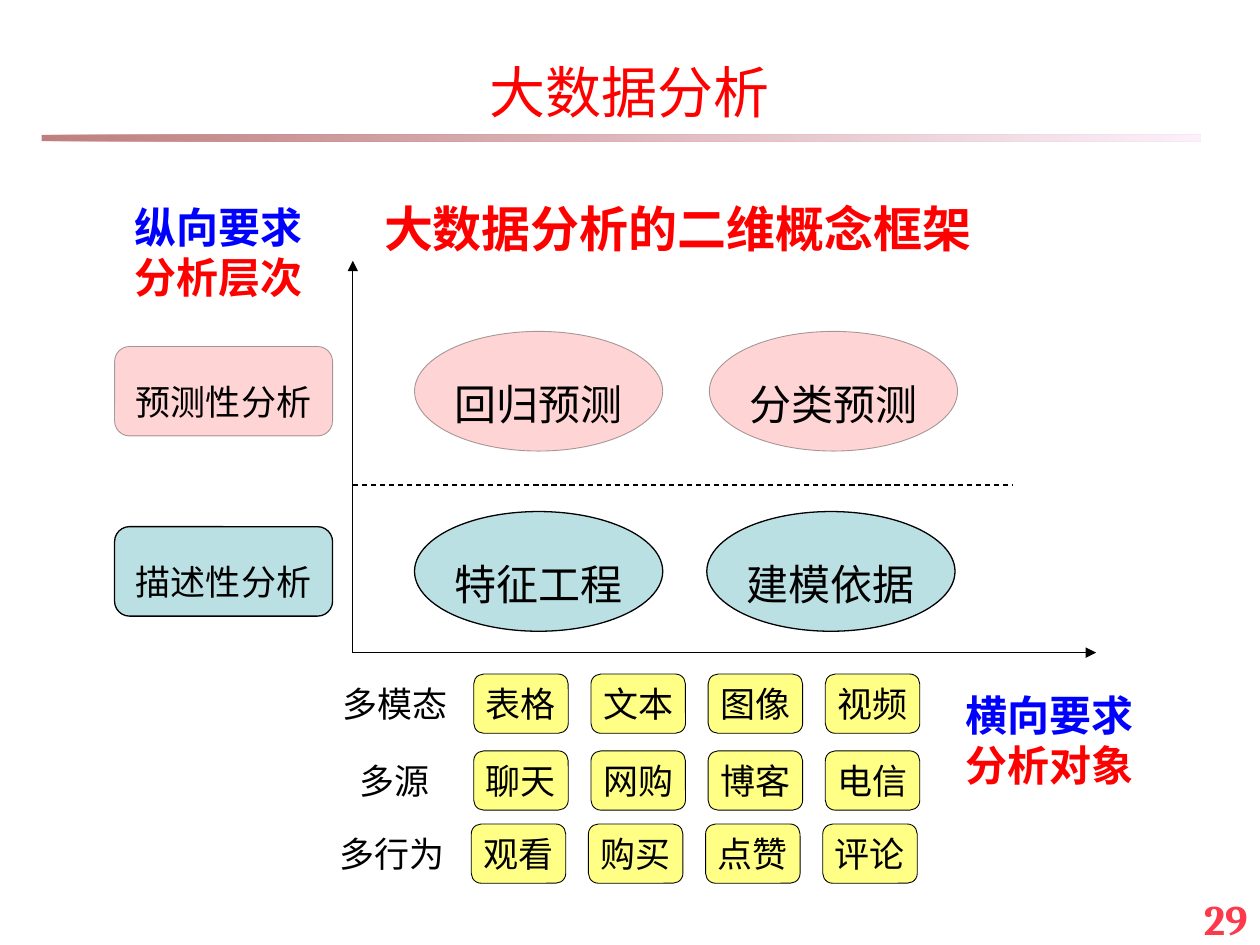
from lxml import etree
from pptx import Presentation
from pptx.dml.color import RGBColor
from pptx.enum import dml, shapes, text
from pptx.oxml.ns import qn
from pptx.util import Inches, Pt

COLORS = {"ink": "000000", "paper": "FFFFFF", "red": "FF0000", "blue": "0000FF",
          "teal": "BBE0E3", "yellow": "FFFF00", "number": "FC3A4C",
          "rule_start": "800000", "rule_end": "FAE2F6"}
FONT = "Noto Sans CJK SC"
ROUND, OVAL = shapes.MSO_SHAPE.ROUNDED_RECTANGLE, shapes.MSO_SHAPE.OVAL
TOP, MIDDLE = text.MSO_ANCHOR.TOP, text.MSO_ANCHOR.MIDDLE
CENTER, LEFT, RIGHT = text.PP_ALIGN.CENTER, text.PP_ALIGN.LEFT, text.PP_ALIGN.RIGHT

PREDICTIVE = dict(fill="red", alpha=17, line=0.5, line_alpha=34)
DESCRIPTIVE = dict(fill="teal", line=0.75)
TILE = dict(fill="yellow", alpha=48, line=0.5)


def rgb(name):
    return RGBColor.from_string(COLORS[name])


def set_alpha(element, percent):
    for color in element.iter(qn("a:srgbClr")):
        etree.SubElement(color, qn("a:alpha"), val=str(percent * 1000))


def write(holder, content, size=20, color="ink", font=FONT, bold=False, align=CENTER,
          spacing=None, anchor=MIDDLE, wrap=False):
    frame = holder.text_frame
    frame.word_wrap = wrap
    frame.vertical_anchor = anchor
    colors = [color] if isinstance(color, str) else color
    for index, line in enumerate(content.split("\n")):
        paragraph = frame.paragraphs[0] if index == 0 else frame.add_paragraph()
        paragraph.alignment = align
        paragraph.space_before = Pt(0)
        if spacing:
            paragraph.line_spacing = spacing
        run = paragraph.add_run()
        run.text = line
        run.font.size, run.font.bold, run.font.name = Pt(size), bold, font
        run.font.color.rgb = rgb(colors[index])
        etree.SubElement(run.font._element, qn("a:ea"), typeface=font)


def add_box(slide, preset, box, fill, alpha=None, line=None, line_alpha=None):
    shape = slide.shapes.add_shape(preset, *map(Inches, box))
    shape.shadow.inherit = False
    shape.fill.solid()
    shape.fill.fore_color.rgb = rgb(fill)
    if alpha:
        set_alpha(shape._element.spPr.find(qn("a:solidFill")), alpha)
    if line:
        shape.line.color.rgb = rgb("ink")
        shape.line.width = Pt(line)
        if line_alpha:
            set_alpha(shape._element.spPr.find(qn("a:ln")), line_alpha)
    else:
        shape.line.fill.background()
    return shape


def add_line(slide, start, end, arrow=False, dashed=False):
    line = slide.shapes.add_connector(shapes.MSO_CONNECTOR.STRAIGHT,
                                      *map(Inches, start + end))
    line.line.color.rgb = rgb("ink")
    line.line.width = Pt(0.75)
    if dashed:
        line.line.dash_style = dml.MSO_LINE.DASH
    if arrow:
        etree.SubElement(line.line._get_or_add_ln(), qn("a:tailEnd"), type="triangle")
    etree.SubElement(line._element.spPr, qn("a:effectLst"))


def add_header(slide, box):
    left, top, width, height = box
    rule = add_box(slide, shapes.MSO_SHAPE.RECTANGLE,
                   (left + 0.33, top + 0.99, 9.2, 0.05), "rule_start")
    rule.fill.gradient()
    rule.fill.gradient_angle = 0
    for stop, name, position in zip(rule.fill.gradient_stops,
                                    ("rule_start", "rule_end"), (0, 1)):
        stop.color.rgb = rgb(name)
        stop.position = position
    set_alpha(rule._element.spPr.find(qn("a:gradFill")), 50)
    title = slide.shapes.title
    title.left, title.top, title.width, title.height = map(Inches, box)
    write(title, "大数据分析", size=32, color="red", spacing=1.5, wrap=True)
    title.text_frame.auto_size = text.MSO_AUTO_SIZE.NONE


def add_axes(slide, box):
    left, top, width, height = box
    origin = (left, top + height)
    add_line(slide, origin, (left + width, top + height), arrow=True)
    add_line(slide, origin, (left, top), arrow=True)
    add_line(slide, (left, 3.85), (8.04, 3.85), dashed=True)


def add_level(slide, box, level, methods, method_lefts, style):
    left, top, width, height = box
    label = add_box(slide, ROUND, (left, top + (height - 0.71) / 2, width, 0.71), **style)
    write(label, level, spacing=1.5)
    for method, method_left in zip(methods, method_lefts):
        oval = add_box(slide, OVAL, (method_left, top, 1.97, height), **style)
        write(oval, method, size=24, spacing=1.5)


def add_object_row(slide, box, category, items):
    left, top, pitch, height = box
    write(add_box(slide, ROUND, (left, top, 0.91, height), "paper"), category)
    for column, item in enumerate(items):
        tile_box = (left + 1.08 + column * pitch, top, 0.75, height)
        write(add_box(slide, ROUND, tile_box, **TILE), item)


def add_axis_caption(slide, box, caption):
    write(add_box(slide, ROUND, box, "paper"), caption, size=24,
          color=("blue", "red"), bold=True, anchor=TOP)


def add_text(slide, box, content, **style):
    write(slide.shapes.add_textbox(*map(Inches, box)), content, anchor=TOP, **style)


def main():
    deck = Presentation()
    deck.slide_width, deck.slide_height = Inches(10), Inches(7.5)
    slide = deck.slides.add_slide(deck.slide_layouts[5])

    add_header(slide, (0, 0.08, 10, 1.02))
    add_text(slide, (7.67, 7.04, 2.33, 0.44), "29", size=24, color="number",
             font="Cambria", bold=True, align=RIGHT, wrap=True)
    add_axes(slide, (2.8, 2.07, 5.9, 3.11))

    object_rows = [(2.68, 5.35, "多模态", ("表格", "文本", "图像", "视频")),
                   (2.68, 5.96, "多源", ("聊天", "网购", "博客", "电信")),
                   (2.66, 6.54, "多行为", ("观看", "购买", "点赞", "评论"))]
    for left, top, category, items in object_rows:
        add_object_row(slide, (left, top, 0.93, 0.47), category, items)

    add_axis_caption(slide, (0.94, 1.5, 1.59, 0.95), "纵向要求\n分析层次")
    add_axis_caption(slide, (7.6, 5.4, 1.46, 0.47), "横向要求\n分析对象")
    add_level(slide, (0.91, 2.63, 1.73, 0.95), "预测性分析",
              ("回归预测", "分类预测"), (3.29, 5.63), PREDICTIVE)
    add_level(slide, (0.91, 4.06, 1.73, 0.95), "描述性分析",
              ("特征工程", "建模依据"), (3.29, 5.61), DESCRIPTIVE)
    add_text(slide, (2.95, 1.53, 4.94, 0.57), "大数据分析的二维概念框架",
             size=28, color="red", bold=True, align=LEFT)

    deck.save("out.pptx")


if __name__ == "__main__":
    main()
